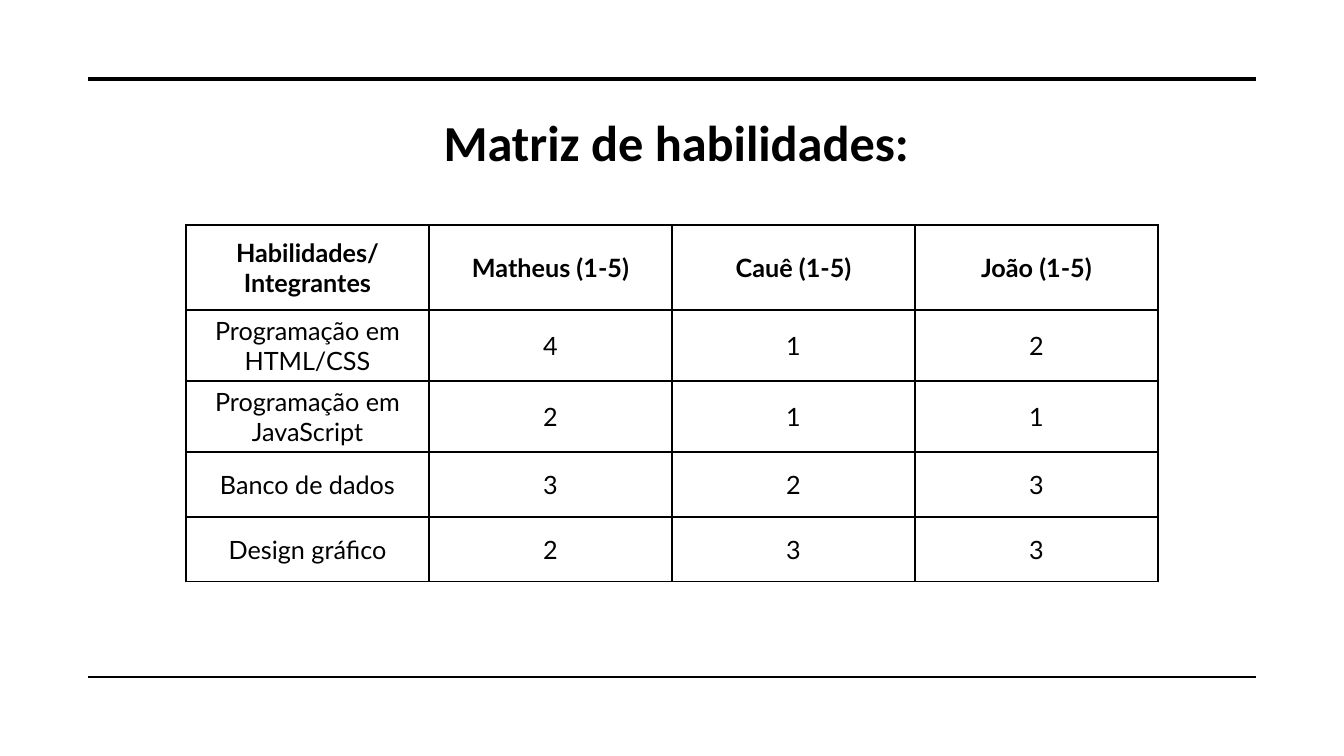
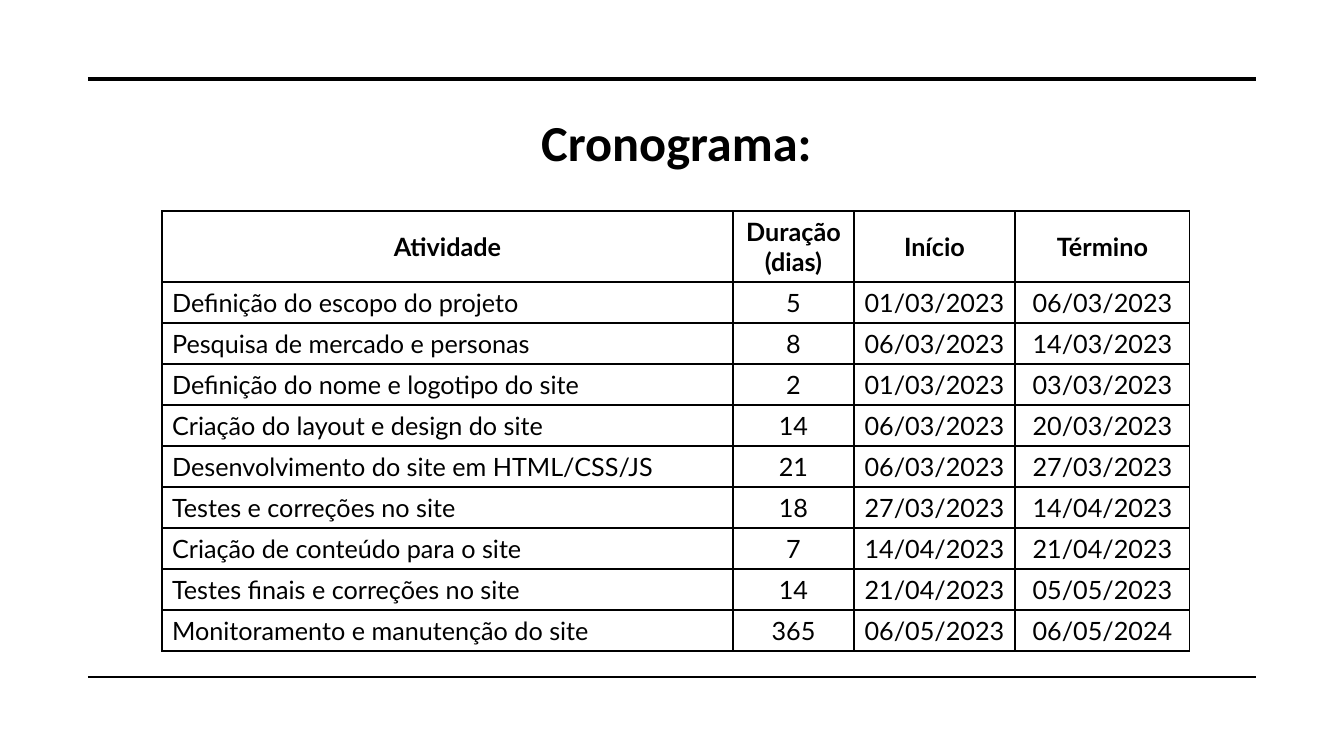
from dataclasses import dataclass

from lxml import etree
from pptx import Presentation
from pptx.dml.color import RGBColor
from pptx.enum.shapes import MSO_CONNECTOR
from pptx.enum.text import MSO_ANCHOR, PP_ALIGN
from pptx.oxml.ns import qn
from pptx.slide import Slide
from pptx.table import _Cell
from pptx.text.text import _Paragraph
from pptx.util import Emu, Pt

BLACK = RGBColor(0x00, 0x00, 0x00)
TITLE_FONT = "Calibri"
TABLE_FONT = "Lato"
TITLE_SIZE = 36
TABLE_SIZE = 18
BORDER_WIDTH = 1
PIXELS_PER_INCH = 100.8
SLIDE_WIDTH, SLIDE_HEIGHT = 1344, 756
BLANK_LAYOUT = 6


@dataclass(frozen=True)
class Rule:
    y: int
    weight: float
    left: int = 88
    right: int = 1256


@dataclass(frozen=True)
class TableSlide:
    title: str
    left: int
    top: int
    column_widths: list[int]
    row_heights: list[int]
    rows: list[list[str]]
    label_align: PP_ALIGN = PP_ALIGN.CENTER


RULES = [Rule(79, 3.5), Rule(677, 1)]

SKILLS = TableSlide(
    title="Matriz de habilidades:",
    left=186,
    top=225,
    column_widths=[243] * 4,
    row_heights=[85, 71, 71, 65, 65],
    rows=[
        ["Habilidades/Integrantes", "Matheus (1-5)", "Cauê (1-5)", "João (1-5)"],
        ["Programação em HTML/CSS", "4", "1", "2"],
        ["Programação em JavaScript", "2", "1", "1"],
        ["Banco de dados", "3", "2", "3"],
        ["Design gráfico", "2", "3", "3"],
    ],
)

SCHEDULE = TableSlide(
    title="Cronograma:",
    left=162,
    top=211,
    column_widths=[571, 121, 161, 175],
    row_heights=[71] + [41] * 9,
    rows=[
        ["Atividade", "Duração (dias)", "Início", "Término"],
        ["Definição do escopo do projeto", "5", "01/03/2023", "06/03/2023"],
        ["Pesquisa de mercado e personas", "8", "06/03/2023", "14/03/2023"],
        ["Definição do nome e logotipo do site", "2", "01/03/2023", "03/03/2023"],
        ["Criação do layout e design do site", "14", "06/03/2023", "20/03/2023"],
        ["Desenvolvimento do site em HTML/CSS/JS", "21", "06/03/2023", "27/03/2023"],
        ["Testes e correções no site", "18", "27/03/2023", "14/04/2023"],
        ["Criação de conteúdo para o site", "7", "14/04/2023", "21/04/2023"],
        ["Testes finais e correções no site", "14", "21/04/2023", "05/05/2023"],
        ["Monitoramento e manutenção do site", "365", "06/05/2023", "06/05/2024"],
    ],
    label_align=PP_ALIGN.LEFT,
)


def px(pixels: int) -> Emu:
    return Emu(round(pixels * 914400 / PIXELS_PER_INCH))


def write(paragraph: _Paragraph, text: str, font: str, size: int,
          bold: bool, align: PP_ALIGN) -> None:
    paragraph.alignment = align
    run = paragraph.add_run()
    run.text = text
    run.font.name = font
    run.font.size = Pt(size)
    run.font.bold = bold
    run.font.color.rgb = BLACK


def draw_rule(slide: Slide, rule: Rule) -> None:
    line = slide.shapes.add_connector(
        MSO_CONNECTOR.STRAIGHT,
        px(rule.left), px(rule.y), px(rule.right), px(rule.y))
    line.line.color.rgb = BLACK
    line.line.width = Pt(rule.weight)
    etree.SubElement(line._element.spPr, qn("a:effectLst"))


def draw_title(slide: Slide, text: str) -> None:
    box = slide.shapes.add_textbox(px(79), px(94), px(1195), px(579))
    box.text_frame.word_wrap = True
    paragraph = box.text_frame.paragraphs[0]
    paragraph.line_spacing = 1.2
    paragraph.space_before = Pt(10)
    write(paragraph, text, TITLE_FONT, TITLE_SIZE, True, PP_ALIGN.CENTER)


def add_borders(cell: _Cell) -> None:
    properties = cell._tc.get_or_add_tcPr()
    for position, side in enumerate(("lnL", "lnR", "lnT", "lnB")):
        border = etree.Element(qn(f"a:{side}"), w=str(Pt(BORDER_WIDTH)))
        fill = etree.SubElement(border, qn("a:solidFill"))
        etree.SubElement(fill, qn("a:srgbClr"), val=str(BLACK))
        properties.insert(position, border)


def draw_table(slide: Slide, spec: TableSlide) -> None:
    table = slide.shapes.add_table(
        len(spec.rows), len(spec.column_widths), px(spec.left), px(spec.top),
        px(sum(spec.column_widths)), px(sum(spec.row_heights))).table
    table.first_row = False
    table.horz_banding = False
    for column, width in zip(table.columns, spec.column_widths):
        column.width = px(width)
    for row, height in zip(table.rows, spec.row_heights):
        row.height = px(height)
    for r, values in enumerate(spec.rows):
        for c, value in enumerate(values):
            cell = table.cell(r, c)
            is_header = r == 0
            is_label = c == 0 and not is_header
            cell.vertical_anchor = MSO_ANCHOR.MIDDLE
            cell.fill.background()
            add_borders(cell)
            write(cell.text_frame.paragraphs[0], value, TABLE_FONT, TABLE_SIZE,
                  is_header, spec.label_align if is_label else PP_ALIGN.CENTER)


def main() -> None:
    deck = Presentation()
    deck.slide_width = px(SLIDE_WIDTH)
    deck.slide_height = px(SLIDE_HEIGHT)
    for spec in (SKILLS, SCHEDULE):
        slide = deck.slides.add_slide(deck.slide_layouts[BLANK_LAYOUT])
        for rule in RULES:
            draw_rule(slide, rule)
        draw_title(slide, spec.title)
        draw_table(slide, spec)
    deck.save("out.pptx")


main()
